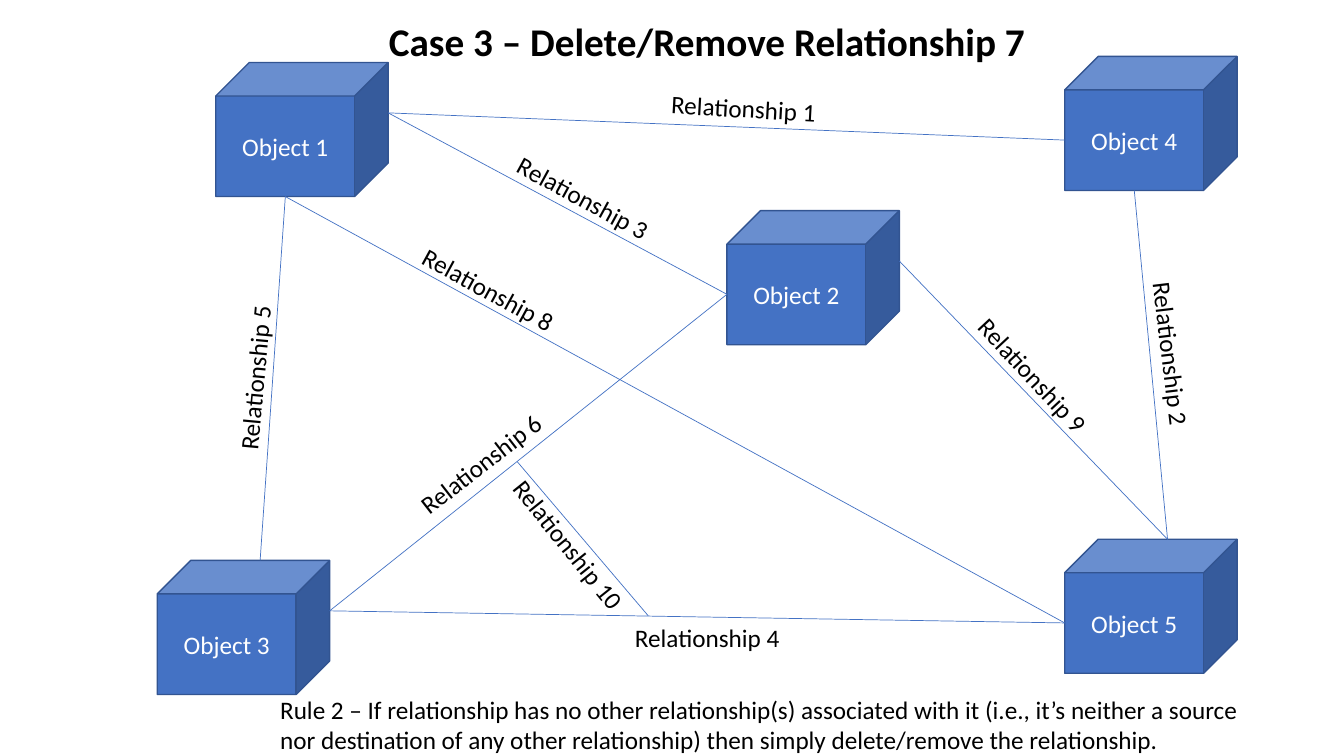
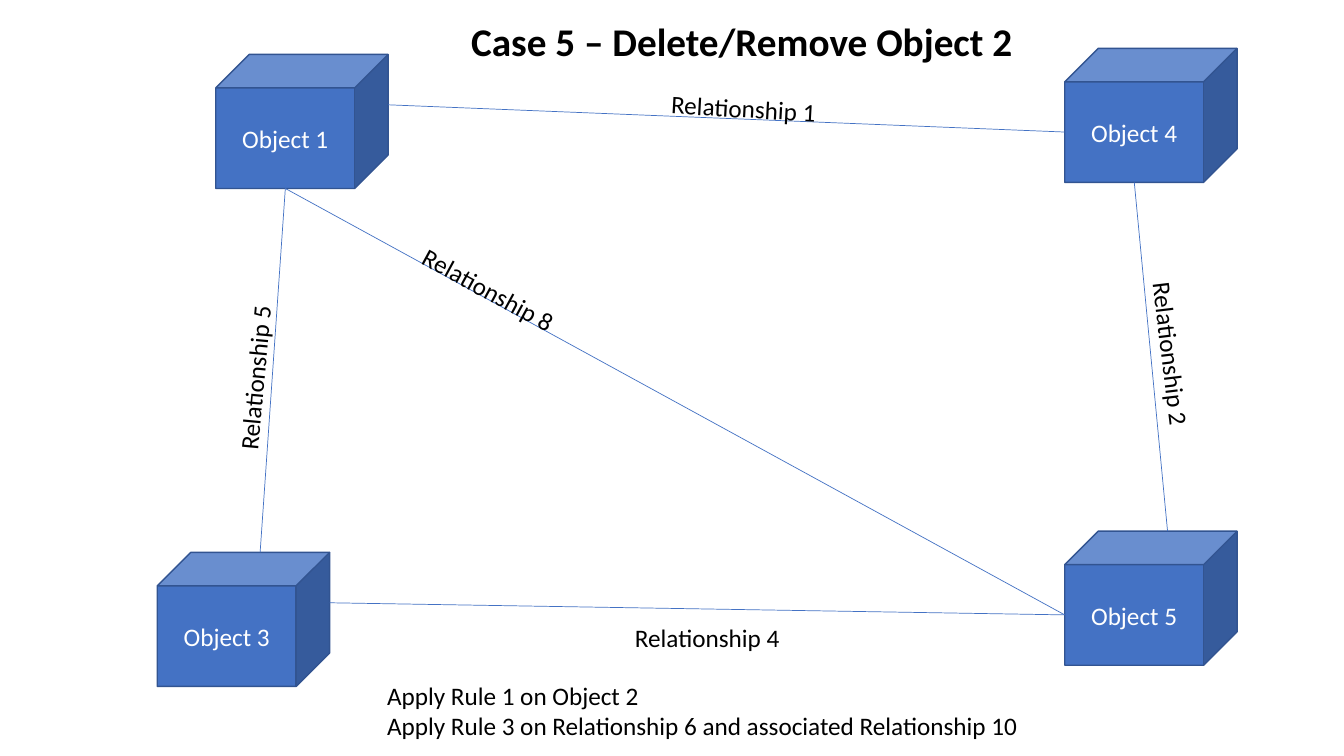
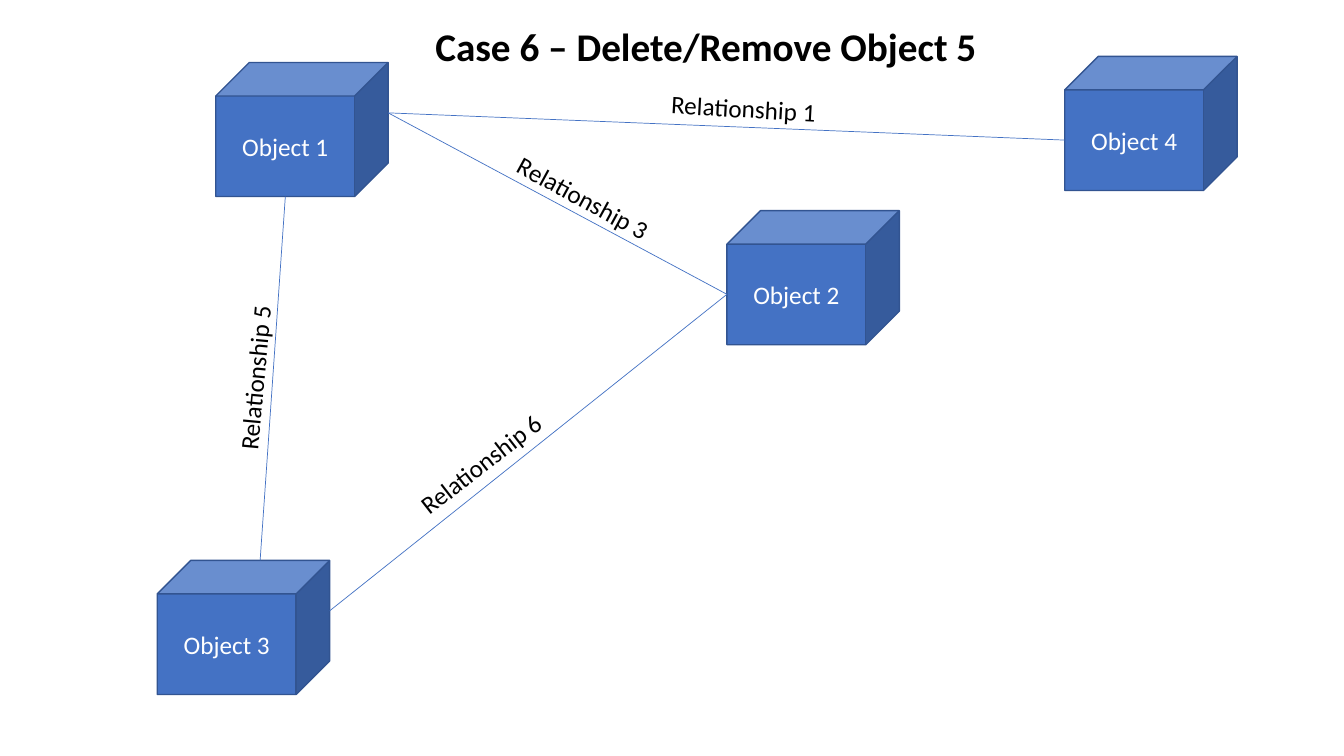
import dataclasses
import typing

import pptx
import pptx.dml.color
import pptx.enum.shapes
import pptx.enum.text
import pptx.oxml.ns
import pptx.slide
import pptx.text.text
import pptx.util
from lxml import etree

PX = 9144  # EMU per px, 100 px to the inch
FONT = "Calibri"
COLORS = {"cube": "4472C4", "edge": "325491", "text": "000000", "cube_text": "FFFFFF"}

CUBE_W, CUBE_H = 171, 133
CUBE_DEPTH = CUBE_H // 4
LABEL_H = 40
SITES = {
    "top": ((CUBE_W + CUBE_DEPTH) // 2, 0),
    "left": (0, (CUBE_H + CUBE_DEPTH) // 2),
    "bottom": ((CUBE_W - CUBE_DEPTH) // 2, CUBE_H),
    "right": (CUBE_W, (CUBE_H - CUBE_DEPTH) // 2),
}
CUBES = {1: (214, 62), 2: (721, 209), 3: (156, 556), 4: (1056, 56), 5: (1056, 535)}

Point = tuple[int, int]
Align = pptx.enum.text.PP_ALIGN
Anchor = pptx.enum.text.MSO_ANCHOR


class Box(typing.NamedTuple):
    x: int
    y: int
    w: int
    h: int


class Site(typing.NamedTuple):
    cube: int
    side: str


class Along(typing.NamedTuple):
    """The point at a given x on another relationship's line."""
    relationship: int
    x: int


End = typing.Union[Site, Along]


@dataclasses.dataclass(frozen=True)
class Relationship:
    start: End
    end: End
    label_x: int
    label_y: int
    rotation: float = 0
    label_w: int = 171


@dataclasses.dataclass(frozen=True)
class Case:
    title: str
    title_box: Box
    cubes: tuple[int, ...]
    relationships: tuple[int, ...]
    shift: int = 0
    rules: tuple[str, ...] = ()
    rules_box: typing.Optional[Box] = None


RELATIONSHIPS = {
    1: Relationship(Site(1, "right"), Site(4, "left"), 652, 87, 3.1),
    2: Relationship(Site(4, "bottom"), Site(5, "top"), 1076, 331, 83.2),
    3: Relationship(Site(1, "right"), Site(2, "left"), 493, 176, 28.6),
    4: Relationship(Site(3, "right"), Site(5, "left"), 616, 612),
    5: Relationship(Site(1, "bottom"), Site(3, "top"), 167, 355, 275.2),
    6: Relationship(Site(3, "right"), Site(2, "left"), 391, 440, 322.2),
    8: Relationship(Site(1, "bottom"), Site(5, "left"), 399, 267, 28.6),
    9: Relationship(Site(2, "right"), Site(5, "top"), 939, 352, 47),
    10: Relationship(Along(6, 513), Along(4, 643), 473, 520, 51.3, 182),
}

CASES = (
    Case(
        "Case 3 – Delete/Remove Relationship 7", Box(338, 12, 726, 57),
        (1, 2, 3, 4, 5), (1, 2, 3, 4, 5, 6, 8, 9, 10),
        rules=("Rule 2 – If relationship has no other relationship(s) associated with it "
               "(i.e., it’s neither a source nor destination of any other relationship) "
               "then simply delete/remove the relationship.",),
        rules_box=Box(268, 684, 1004, 71),
    ),
    Case(
        "Case 5 – Delete/Remove Object 2", Box(442, 12, 587, 57),
        (1, 3, 4, 5), (1, 2, 4, 5, 8), shift=-8,
        rules=("Apply Rule 1 on Object 2",
               "Apply Rule 3 on Relationship 6 and associated Relationship 10"),
        rules_box=Box(374, 670, 655, 71),
    ),
    Case(
        "Case 6 – Delete/Remove Object 5", Box(397, 17, 606, 57),
        (1, 2, 3, 4), (1, 3, 5, 6),
    ),
)


def rgb(name: str) -> pptx.dml.color.RGBColor:
    return pptx.dml.color.RGBColor.from_string(COLORS[name])


def emu(*lengths: int) -> list[pptx.util.Emu]:
    return [pptx.util.Emu(length * PX) for length in lengths]


def write(tf: pptx.text.text.TextFrame, text: str, size: int = 18, color: str = "text",
          bold: bool = False, align: Align = Align.CENTER,
          anchor: Anchor = Anchor.MIDDLE) -> None:
    tf.text = text
    tf.word_wrap = True
    tf.auto_size = pptx.enum.text.MSO_AUTO_SIZE.NONE
    tf.vertical_anchor = anchor
    for p in tf.paragraphs:
        p.alignment = align
        for r in p.runs:
            r.font.name = FONT
            r.font.size = pptx.util.Pt(size)
            r.font.bold = bold
            r.font.color.rgb = rgb(color)


def locate(end: End) -> Point:
    """Return the point of a line end before the slide's shift."""
    if isinstance(end, Site):
        x, y = CUBES[end.cube]
        dx, dy = SITES[end.side]
        return x + dx, y + dy
    line = RELATIONSHIPS[end.relationship]
    (x1, y1), (x2, y2) = locate(line.start), locate(line.end)
    return end.x, round(y1 + (y2 - y1) * (end.x - x1) / (x2 - x1))


def add_title(s: pptx.slide.Slide, text: str, box: Box) -> None:
    sp = s.shapes.title
    sp.left, sp.top, sp.width, sp.height = emu(*box)
    write(sp.text_frame, text, size=28, bold=True, anchor=Anchor.TOP)


def add_cube(s: pptx.slide.Slide, number: int, shift: int) -> None:
    x, y = CUBES[number]
    sp = s.shapes.add_shape(pptx.enum.shapes.MSO_SHAPE.CUBE,
                            *emu(x, y + shift, CUBE_W, CUBE_H))
    sp.shadow.inherit = False
    sp.fill.solid()
    sp.fill.fore_color.rgb = rgb("cube")
    sp.line.color.rgb = rgb("edge")
    sp.line.width = pptx.util.Pt(1)
    write(sp.text_frame, f"Object {number}", color="cube_text")


def add_line(s: pptx.slide.Slide, relationship: Relationship, shift: int) -> None:
    (x1, y1), (x2, y2) = locate(relationship.start), locate(relationship.end)
    line = s.shapes.add_connector(pptx.enum.shapes.MSO_CONNECTOR.STRAIGHT,
                                  *emu(x1, y1 + shift, x2, y2 + shift))
    line.line.color.rgb = rgb("cube")
    line.line.width = pptx.util.Pt(0.5)
    etree.SubElement(line._element.spPr, pptx.oxml.ns.qn("a:effectLst"))


def add_label(s: pptx.slide.Slide, number: int) -> None:
    relationship = RELATIONSHIPS[number]
    sp = s.shapes.add_textbox(*emu(relationship.label_x, relationship.label_y,
                                   relationship.label_w, LABEL_H))
    sp.rotation = relationship.rotation
    write(sp.text_frame, f"Relationship {number}")


def add_case(prs: pptx.presentation.Presentation, case: Case) -> None:
    s = prs.slides.add_slide(prs.slide_layouts.get_by_name("Title Only"))
    add_title(s, case.title, case.title_box)
    for number in case.cubes:
        add_cube(s, number, case.shift)
    for number in case.relationships:
        add_line(s, RELATIONSHIPS[number], case.shift)
    for number in case.relationships:
        add_label(s, number)
    if case.rules_box:
        sp = s.shapes.add_textbox(*emu(*case.rules_box))
        write(sp.text_frame, "\n".join(case.rules), align=Align.LEFT, anchor=Anchor.TOP)


def main() -> None:
    prs = pptx.Presentation()
    prs.slide_width, prs.slide_height = emu(1333, 750)
    for case in CASES:
        add_case(prs, case)
    prs.save("out.pptx")


if __name__ == "__main__":
    main()
